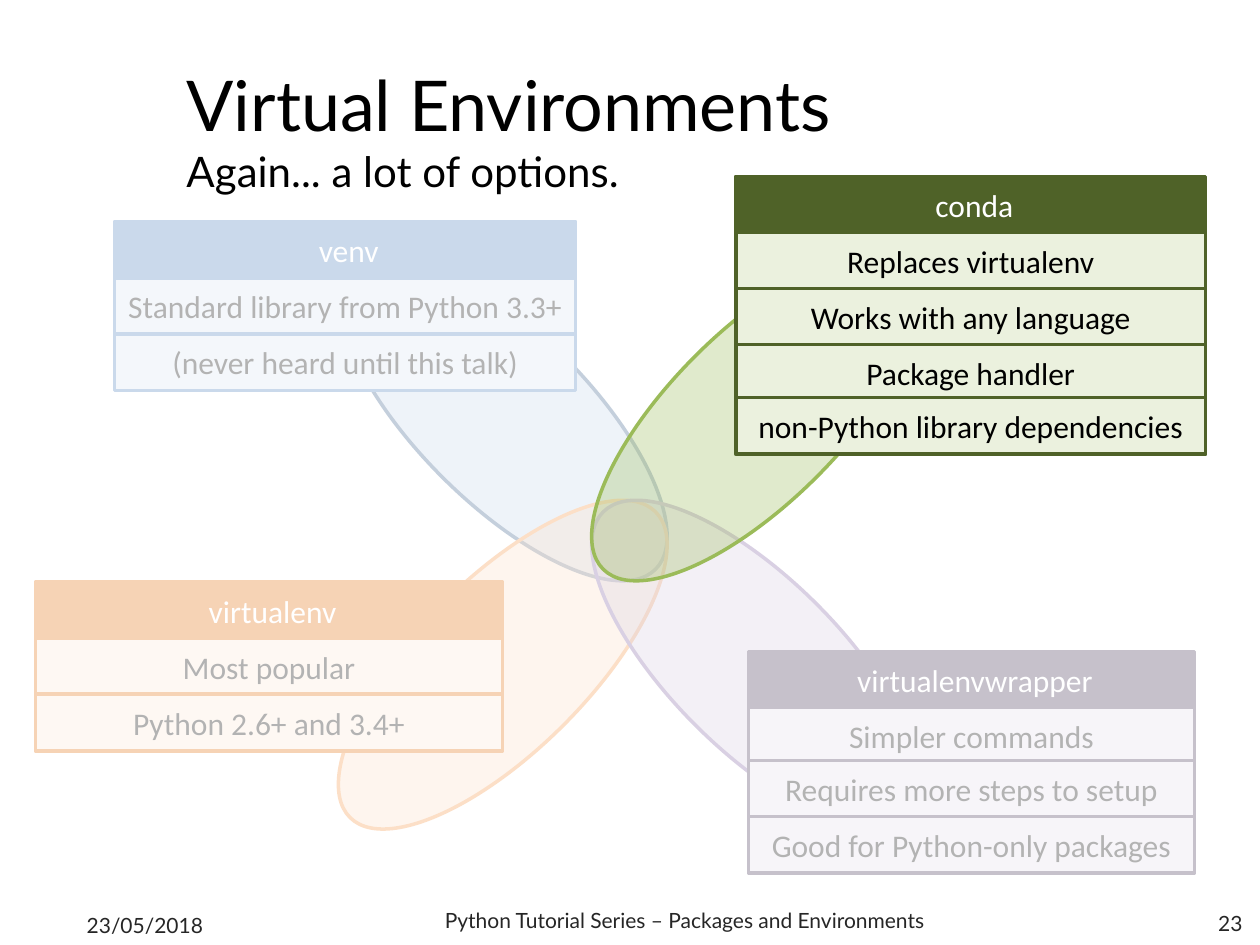
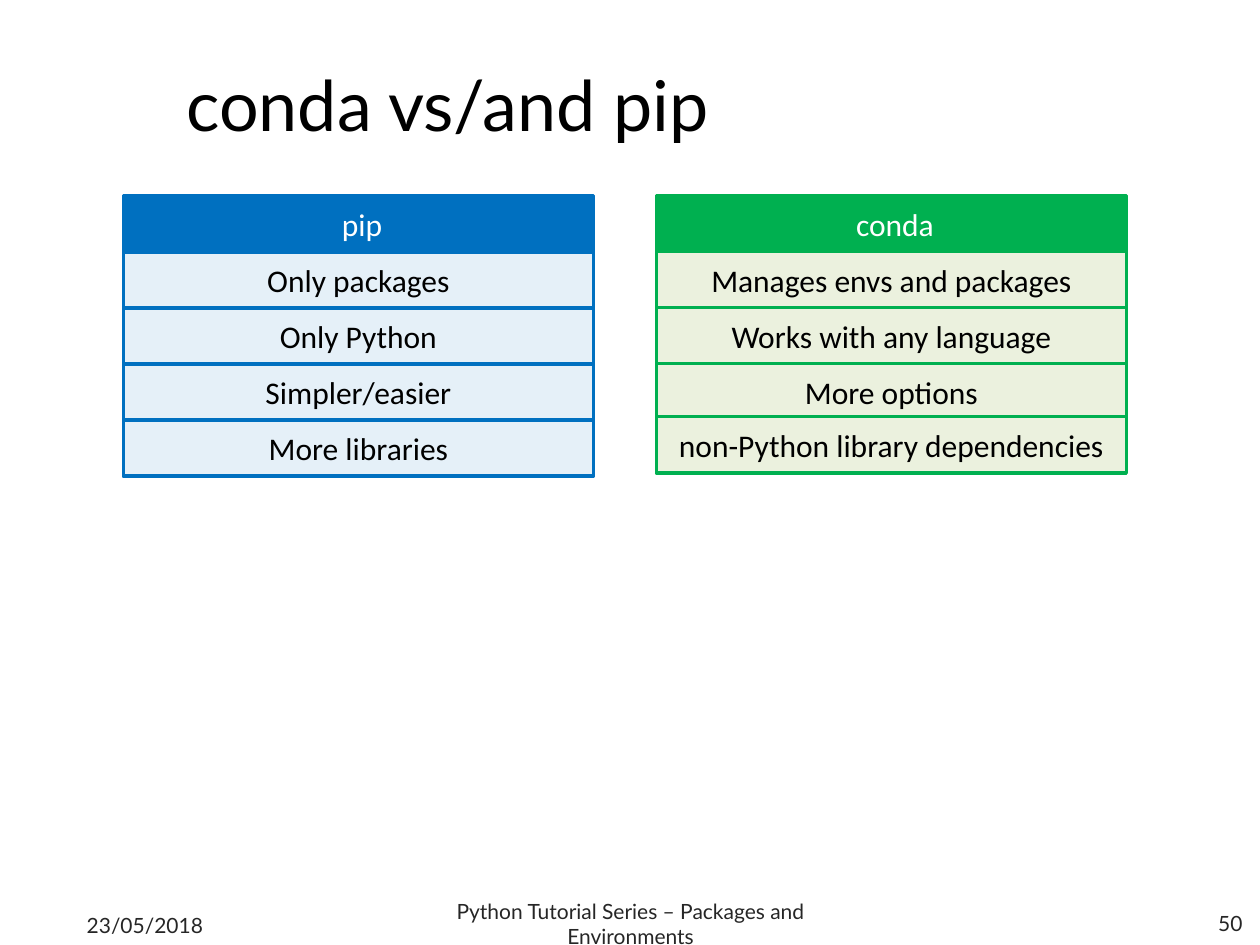
from dataclasses import dataclass

from lxml.etree import SubElement
from pptx import Presentation
from pptx.dml.color import RGBColor
from pptx.enum.shapes import MSO_SHAPE
from pptx.enum.text import MSO_ANCHOR, MSO_AUTO_SIZE, PP_ALIGN
from pptx.oxml.ns import qn
from pptx.util import Inches, Pt


@dataclass(frozen=True)
class Theme:
    title_font: str = "Lato"
    card_font: str = "Calibri"
    title_size: int = 40
    subtitle_size: int = 24
    card_size: int = 18
    footer_size: int = 12
    line_width: int = 2
    black: str = "000000"
    white: str = "FFFFFF"
    footer_grey: str = "262626"
    blue: str = "4F81BD"
    pale_blue: str = "DCE6F2"
    navy: str = "3A5F8C"
    orange: str = "F79646"
    dark_orange: str = "E46C0A"
    pale_orange: str = "FDEADA"
    purple: str = "8064A2"
    dark_purple: str = "403152"
    pale_purple: str = "E6E0EC"
    olive: str = "9BBB59"
    dark_olive: str = "4F6228"
    pale_olive: str = "EBF1DE"
    bright_blue: str = "0070C0"
    bright_green: str = "00B050"


TITLE_ONLY = 5
ROW_HEIGHT = 0.45
ROW_STEP = 0.445
TIGHT_STEP = 0.42
DATE = "23/05/2018"
SERIES = "Python Tutorial Series – Packages and Environments"


class DeckBuilder:
    def __init__(self, theme):
        self.theme = theme
        self.deck = Presentation()
        self.deck.slide_width = Inches(10)
        self.deck.slide_height = Inches(7.5)
        self.page = None

    def new_page(self):
        self.page = self.deck.slides.add_slide(self.deck.slide_layouts[TITLE_ONLY])

    def style(self, para, size, color, font, align=PP_ALIGN.LEFT):
        para.alignment = align
        para.space_before = Pt(0)
        para.font.size = Pt(size)
        para.font.name = font
        para.font.color.rgb = RGBColor.from_string(color)

    def title(self, text, width, height, subtitle=None):
        theme = self.theme
        box = self.page.shapes.title
        box.left, box.top = Inches(1.38), Inches(0.44)
        box.width, box.height = Inches(width), Inches(height)
        frame = box.text_frame
        frame.auto_size = MSO_AUTO_SIZE.NONE
        frame.vertical_anchor = MSO_ANCHOR.TOP
        frame.text = text
        self.style(frame.paragraphs[0], theme.title_size, theme.black, theme.title_font)
        if subtitle:
            para = frame.add_paragraph()
            para.text = subtitle
            self.style(para, theme.subtitle_size, theme.black, theme.title_font)

    def footer_text(self, text, left, top, width, align):
        theme = self.theme
        box = self.page.shapes.add_textbox(Inches(left), Inches(top), Inches(width), Inches(0.4))
        frame = box.text_frame
        frame.word_wrap = True
        frame.vertical_anchor = MSO_ANCHOR.MIDDLE
        frame.text = text
        self.style(frame.paragraphs[0], theme.footer_size, theme.footer_grey,
                   theme.title_font, align)

    def footer(self, number, series_left, series_top, series_width):
        self.footer_text(DATE, 0.59, 7.14, 2.33, PP_ALIGN.LEFT)
        self.footer_text(SERIES, series_left, series_top, series_width, PP_ALIGN.CENTER)
        self.footer_text(number, 7.63, 7.13, 2.33, PP_ALIGN.RIGHT)

    def shape(self, kind, left, top, width, height, fill, line=None, opacity=100, parent=None):
        shapes = (parent or self.page).shapes
        shape = shapes.add_shape(kind, Inches(left), Inches(top), Inches(width), Inches(height))
        shape.shadow.inherit = False
        shape.fill.solid()
        shape.fill.fore_color.rgb = RGBColor.from_string(fill)
        if opacity < 100:
            color = shape.fill._xPr.find(qn("a:solidFill"))[0]
            SubElement(color, qn("a:alpha"), val=str(opacity * 1000))
        if line:
            shape.line.color.rgb = RGBColor.from_string(line)
            shape.line.width = Pt(self.theme.line_width)
        else:
            shape.line.fill.background()
        return shape

    def petal(self, left, top, rotation, fill, line):
        petal = self.shape(MSO_SHAPE.OVAL, left, top, 1.36, 3.43, fill, line, opacity=30)
        petal.rotation = rotation

    def veil(self):
        """Fade everything drawn so far on the page."""
        self.shape(MSO_SHAPE.RECTANGLE, 0.2, 1.61, 9.53, 5.39, self.theme.white, opacity=70)

    def card(self, left, top, width, rows, dark, pale, opacity=100, tight_row=None):
        """Stack a heading and its rows; tight_row is the row set closer to the one above."""
        theme = self.theme
        group = self.page.shapes.add_group_shape()
        for index, text in enumerate(rows):
            heading = index == 0
            if not heading:
                top += TIGHT_STEP if index == tight_row else ROW_STEP
            box = self.shape(MSO_SHAPE.RECTANGLE, left, top, width, ROW_HEIGHT,
                             dark if heading else pale, dark,
                             100 if heading else opacity, group)
            frame = box.text_frame
            frame.word_wrap = True
            frame.vertical_anchor = MSO_ANCHOR.MIDDLE
            frame.text = text
            self.style(frame.paragraphs[0], theme.card_size,
                       theme.white if heading else theme.black,
                       theme.card_font, PP_ALIGN.CENTER)


def environments_page(builder):
    theme = builder.theme
    west, east, north, south = 3.31, 5.32, 1.59, 3.56
    builder.new_page()
    builder.title("Virtual Environments", 8.12, 0.79, "Again... a lot of options.")
    builder.footer("23", 3.15, 7.1, 4.57)
    builder.petal(west, north, 135, theme.blue, theme.navy)
    builder.petal(west, south, 225, theme.orange, theme.orange)
    builder.petal(east, south, 135, theme.purple, theme.purple)
    builder.card(5.94, 5.17, 3.54,
                 [" virtualenvwrapper", "Simpler commands", "Requires more steps to setup",
                  "Good for Python-only packages"],
                 theme.dark_purple, theme.pale_purple, tight_row=2)
    builder.card(0.91, 1.76, 3.66,
                 [" venv", "Standard library from Python 3.3+", "(never heard until this talk)"],
                 theme.blue, theme.pale_blue)
    builder.card(0.28, 4.62, 3.71,
                 [" virtualenv", "Most popular", "Python 2.6+ and 3.4+"],
                 theme.dark_orange, theme.pale_orange)
    builder.veil()
    builder.petal(east, north, 225, theme.olive, theme.olive)
    builder.card(5.84, 1.4, 3.73,
                 [" conda", "Replaces virtualenv", "Works with any language",
                  "Package handler", "non-Python library dependencies"],
                 theme.dark_olive, theme.pale_olive, tight_row=4)


def comparison_page(builder):
    theme = builder.theme
    builder.new_page()
    builder.title("conda vs/and pip", 8.03, 1.89)
    builder.footer("50", 3.42, 7.13, 3.17)
    builder.card(5.21, 1.55, 3.73,
                 [" conda", "Manages envs and packages", "Works with any language",
                  "More options", "non-Python library dependencies"],
                 theme.bright_green, theme.pale_olive, tight_row=4)
    builder.card(0.98, 1.55, 3.73,
                 [" pip", "Only packages", "Only Python", "Simpler/easier", "More libraries"],
                 theme.bright_blue, theme.bright_blue, opacity=10)


def main():
    builder = DeckBuilder(Theme())
    environments_page(builder)
    comparison_page(builder)
    builder.deck.save("out.pptx")


if __name__ == "__main__":
    main()
